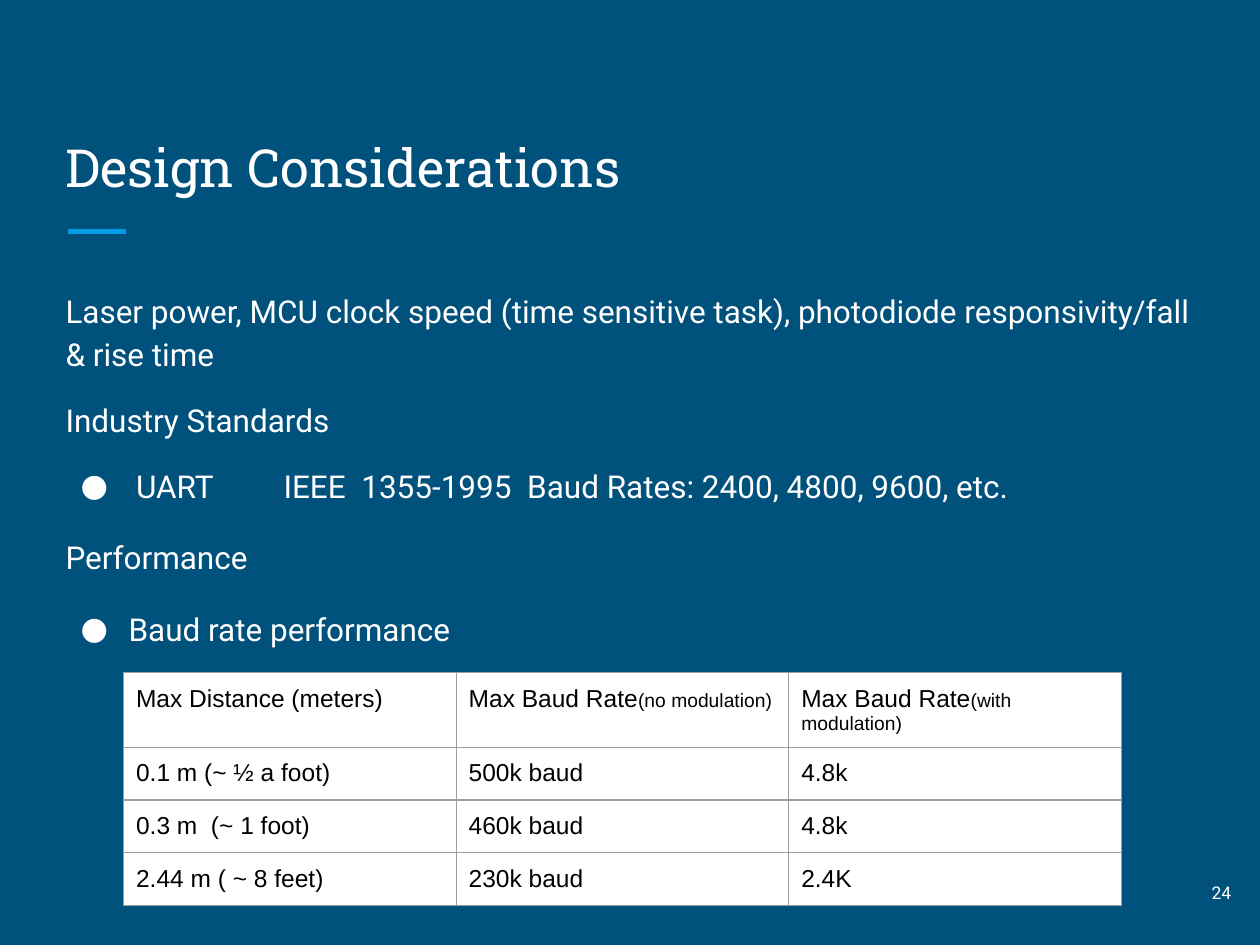
"""Build the design considerations slide."""
from lxml import etree
from pptx import Presentation
from pptx.dml.color import RGBColor
from pptx.enum import shapes, text
from pptx.oxml import ns
from pptx.util import Inches, Pt

HUES = {"back": "00517C", "rule": "039BE5", "white": "FFFFFF",
        "black": "000000", "grid": "9E9E9E"}
PAD = Inches(0.1)
BODY = [
    ("Laser power, MCU clock speed (time sensitive task), "
     "photodiode responsivity/fall & rise time", 1.15, None),
    ("Industry Standards", 1, None),
    ("UART\tIEEE  1355-1995  Baud Rates: 2400, 4800, 9600, etc.", 1, 0.56),
    ("Performance", 1.15, None),
    ("Baud rate performance", 1.15, 0.5),
]
HEADS = [("Max Distance (meters)", ""), ("Max Baud Rate", "(no modulation)"),
         ("Max Baud Rate", "(with modulation)")]
ROWS = [("0.1 m (~ ½ a foot)", "500k baud", "4.8k"),
        ("0.3 m  (~ 1 foot)", "460k baud", "4.8k"),
        ("2.44 m ( ~ 8 feet)", "230k baud", "2.4K")]


def hue(name):
    """Return a named colour."""
    return RGBColor.from_string(HUES[name])


def sub(node, tag, **attrs):
    """Append a drawing element with its attributes."""
    return etree.SubElement(node, ns.qn("a:" + tag),
                            {key: str(val) for key, val in attrs.items()})


def style(font, size, face, tint="white"):
    """Set the size, face and colour of a font."""
    font.size = Pt(size)
    font.name = face
    font.bold = False
    font.color.rgb = hue(tint)


def place(shape, left, top, width, height, anchor):
    """Position a text shape and return its frame."""
    shape.left, shape.top = Inches(left), Inches(top)
    shape.width, shape.height = Inches(width), Inches(height)
    frame = shape.text_frame
    frame.word_wrap = True
    frame.auto_size = text.MSO_AUTO_SIZE.NONE
    frame.vertical_anchor = anchor
    frame.margin_left = frame.margin_right = PAD
    frame.margin_top = frame.margin_bottom = PAD
    return frame


def label(frame, words, size, face, align):
    """Fill a frame with one line of text."""
    frame.text = words
    para = frame.paragraphs[0]
    para.alignment = align
    style(para.runs[0].font, size, face)


def bullet(para, indent):
    """Give a paragraph a bullet and indent, or neither."""
    props = para._p.get_or_add_pPr()
    if indent is None:
        props.set("marL", "0")
        props.set("indent", "0")
        sub(props, "buNone")
        return
    props.set("marL", str(Inches(indent)))
    props.set("indent", str(Inches(0.12 - indent)))
    sub(sub(props, "buClr"), "srgbClr", val=HUES["white"])
    sub(props, "buFont", typeface="Roboto")
    sub(props, "buChar", char="●")
    if "\t" in para.text:
        sub(sub(props, "tabLst"), "tab", pos=Inches(1.73), algn="l")


def fill_body(frame):
    """Write the body paragraphs."""
    frame.text = "\n".join(words for words, _, _ in BODY)
    for num, (para, item) in enumerate(zip(frame.paragraphs, BODY)):
        bullet(para, item[2])
        para.alignment = text.PP_ALIGN.LEFT
        para.line_spacing = item[1]
        para.space_before = Pt(16 if num else 0)
        para.space_after = Pt(0)
        for run in para.runs:
            style(run.font, 18, "Roboto")


def add_rule(slide):
    """Draw the short accent line under the title."""
    line = slide.shapes.add_connector(
        shapes.MSO_CONNECTOR.STRAIGHT,
        Inches(0.54), Inches(1.84), Inches(1), Inches(1.84))
    line.line.color.rgb = hue("rule")
    line.line.width = Pt(3)
    sub(line._element.spPr, "effectLst")


def fill_cell(cell, words, note=""):
    """Write, fill and outline one table cell."""
    cell.text = words
    para = cell.text_frame.paragraphs[0]
    style(para.runs[0].font, 14, "Arial", "black")
    if note:
        run = para.add_run()
        run.text = note
        style(run.font, 11, "Arial", "black")
    cell.margin_left = cell.margin_right = PAD
    cell.margin_top = cell.margin_bottom = PAD
    props = cell._tc.get_or_add_tcPr()
    for side in ("lnL", "lnR", "lnT", "lnB"):
        edge = sub(props, side, w=Pt(0.75))
        sub(sub(edge, "solidFill"), "srgbClr", val=HUES["grid"])
    cell.fill.solid()
    cell.fill.fore_color.rgb = hue("white")


def add_grid(slide):
    """Add the baud rate table."""
    rows = [HEADS] + [[(words, "") for words in row] for row in ROWS]
    count = len(rows)
    grid = slide.shapes.add_table(
        count, len(HEADS), Inches(0.98), Inches(5.34),
        Inches(2.64 * len(HEADS)), Inches(0.42 * count)).table
    for line, row in zip(grid.rows, rows):
        for cell, item in zip(line.cells, row):
            fill_cell(cell, *item)


def main():
    """Assemble and save the slide."""
    deck = Presentation()
    deck.slide_width, deck.slide_height = Inches(10), Inches(7.5)
    slide = deck.slides.add_slide(deck.slide_layouts[1])
    slide.background.fill.solid()
    slide.background.fill.fore_color.rgb = hue("back")
    add_rule(slide)
    title = place(slide.shapes.title, 0.42, 0.67, 9.15, 1,
                  text.MSO_ANCHOR.BOTTOM)
    label(title, "Design Considerations", 30, "Roboto Slab",
          text.PP_ALIGN.LEFT)
    fill_body(place(slide.placeholders[1], 0.42, 2.17, 9.15, 4.49,
                    text.MSO_ANCHOR.TOP))
    page = place(slide.shapes.add_textbox(0, 0, 0, 0), 9.27, 6.8, 0.6, 0.57,
                 text.MSO_ANCHOR.MIDDLE)
    label(page, "24", 10, "Roboto", text.PP_ALIGN.RIGHT)
    add_grid(slide)
    deck.save("out.pptx")


if __name__ == "__main__":
    main()
